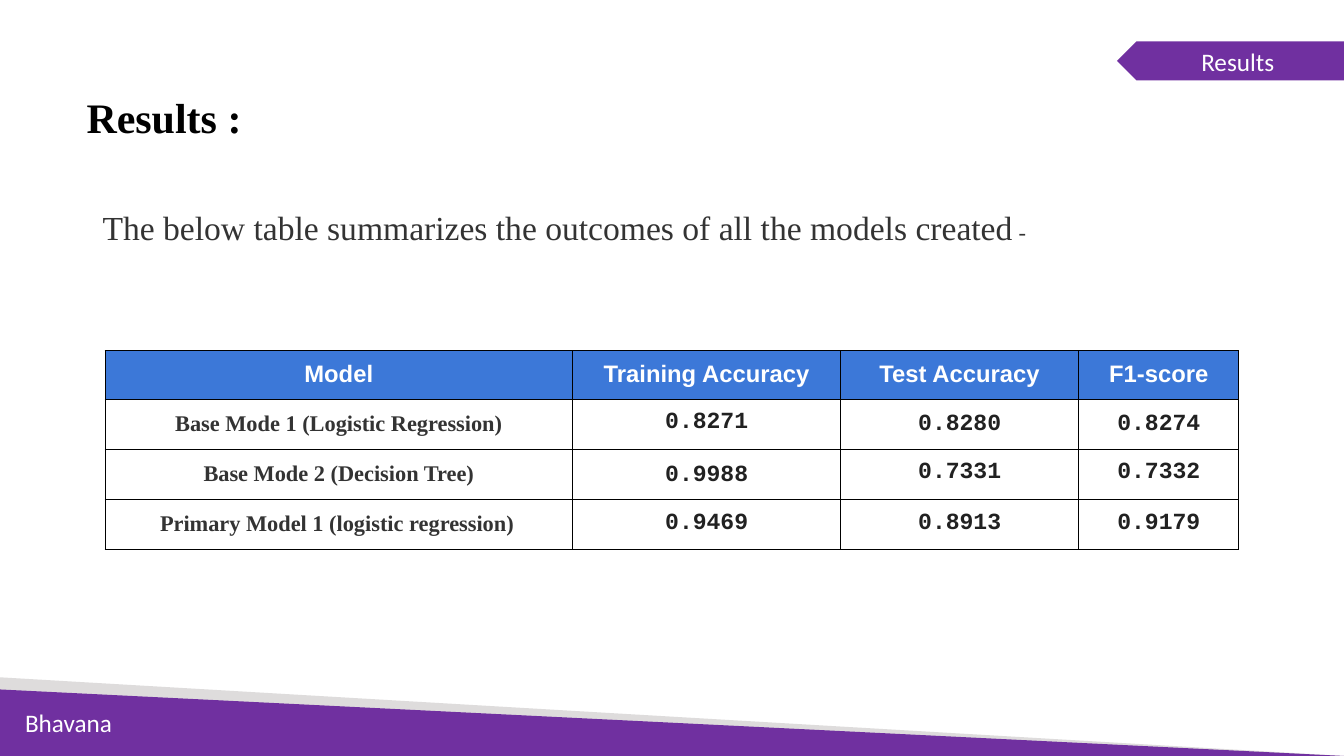
from pptx import Presentation, util as u
from pptx.dml import color
from pptx.enum import shapes, text
from pptx.oxml import parse_xml
from pptx.oxml.ns import nsdecls, qn
from lxml import etree

Pt = u.Pt

THEME = {
    "purple": "7030A0", "gray": "AFABAB", "blue": "3C78D8",
    "white": "FFFFFF", "black": "000000", "ink": "333333", "dark": "212121",
    "label": ("Calibri", 18, "white", False),
    "title": ("Times New Roman", 30, "black", True),
    "intro": ("Times New Roman", 24, "ink", False),
    "dash": ("Times New Roman", 16, "ink", False),
    "head": ("Arial", 17, "white", True),
    "model": ("Times New Roman", 16, "ink", True),
    "gap": ("Times New Roman", 10, "ink", True),
    "score": ("Courier New", 16.5, "dark", True),
}

WEDGES = [
    ((0, 483.8, 960, 56.2), "gray", 41),
    ((0, 492.5, 960, 47.5), "purple", 100),
]
TAG = (797.8, 29.5, 162.2, 28)
TEXTS = [
    ((10.8, 501.8, 129.6, 51), 3.6, False, [("Bhavana", "label")]),
    ((851, 29.5, 109, 29), 3.6, False, [("Results", "label")]),
    ((54.7, 58.3, 372, 51), 7.2, False, [("Results :", "title")]),
    ((66.2, 138.2, 704, 44), 7.2, True, [
        ("The below table summarizes the outcomes of all the models created", "intro"),
        (" -", "dash"),
    ]),
]

HEADS = ["Model", "Training Accuracy", "Test Accuracy", "F1-score"]
MODELS = [
    ("Base Mode 1 (Logistic Regression)", "0.8271", "0.8280", "0.8274"),
    ("Base Mode 2 (Decision Tree)", "0.9988", "0.7331", "0.7332"),
    ("Primary Model 1 (logistic regression)", "0.9469", "0.8913", "0.9179"),
]
SPACED = {(1, 0), (1, 2), (1, 3), (2, 0), (2, 1), (3, 0)}
ORIGIN = (75, 250.6)
WIDTHS = [334, 191.5, 170, 114.5]
ROW = 30.2


def rgb(name):
    return color.RGBColor.from_string(THEME[name])


def paint(shape, name):
    shape.shadow.inherit = False
    shape.fill.solid()
    shape.fill.fore_color.rgb = rgb(name)
    shape.line.fill.background()


def write(para, runs, spaced=False):
    if spaced:
        para.line_spacing = 1.08
        para.space_after = Pt(8)
    for words, style in runs:
        face, size, tone, bold = THEME[style]
        run = para.add_run()
        run.text = words
        run.font.name = face
        run.font.size = Pt(size)
        run.font.bold = bold
        run.font.color.rgb = rgb(tone)


def add_wedge(slide, box, name, alpha):
    wedge = slide.shapes.add_shape(
        shapes.MSO_SHAPE.RIGHT_TRIANGLE, *map(Pt, box))
    paint(wedge, name)
    if alpha < 100:
        tone = wedge.fill._xPr.find(qn("a:solidFill"))[0]
        etree.SubElement(tone, qn("a:alpha")).set("val", str(alpha * 1000))


def add_text(slide, box, inset, spaced, runs):
    frame = slide.shapes.add_textbox(*map(Pt, box)).text_frame
    frame.word_wrap = True
    frame.margin_left = frame.margin_right = Pt(7.2)
    frame.margin_top = frame.margin_bottom = Pt(inset)
    write(frame.paragraphs[0], runs, spaced)


def add_edges(cell):
    props = cell._tc.get_or_add_tcPr()
    for spot, side in enumerate("LRTB"):
        props.insert(spot, parse_xml(
            f'<a:ln{side} {nsdecls("a")} w="{Pt(0.75)}"><a:solidFill>'
            f'<a:srgbClr val="{THEME["black"]}"/></a:solidFill></a:ln{side}>'))


def cell_runs(row, col, words):
    if row == 0:
        return [(words, "head")]
    if col:
        return [(words, "score")]
    tail = [(" ", "gap")] if row == len(MODELS) else []
    return [(words, "model")] + tail


def add_scores(slide):
    rows = [HEADS] + MODELS
    size = (sum(WIDTHS), ROW * len(rows))
    table = slide.shapes.add_table(
        len(rows), len(HEADS), *map(Pt, ORIGIN + size)).table
    table.first_row = table.horz_banding = False
    for col, width in enumerate(WIDTHS):
        table.columns[col].width = Pt(width)
    for r, row in enumerate(rows):
        table.rows[r].height = Pt(ROW)
        for c, words in enumerate(row):
            cell = table.cell(r, c)
            cell.margin_left = cell.margin_right = Pt(7.2)
            cell.margin_top = cell.margin_bottom = Pt(7.2)
            if r == 0:
                cell.fill.solid()
                cell.fill.fore_color.rgb = rgb("blue")
            else:
                cell.fill.background()
            add_edges(cell)
            para = cell.text_frame.paragraphs[0]
            para.alignment = text.PP_ALIGN.CENTER
            write(para, cell_runs(r, c, words), (r, c) in SPACED)


def main():
    deck = Presentation()
    deck.slide_width, deck.slide_height = Pt(960), Pt(540)
    slide = deck.slides.add_slide(deck.slide_layouts[6])
    for wedge in WEDGES:
        add_wedge(slide, *wedge)
    tag = slide.shapes.add_shape(shapes.MSO_SHAPE.PENTAGON, *map(Pt, TAG))
    tag.rotation = 180
    paint(tag, "purple")
    for item in TEXTS:
        add_text(slide, *item)
    add_scores(slide)
    deck.save("out.pptx")


if __name__ == "__main__":
    main()
